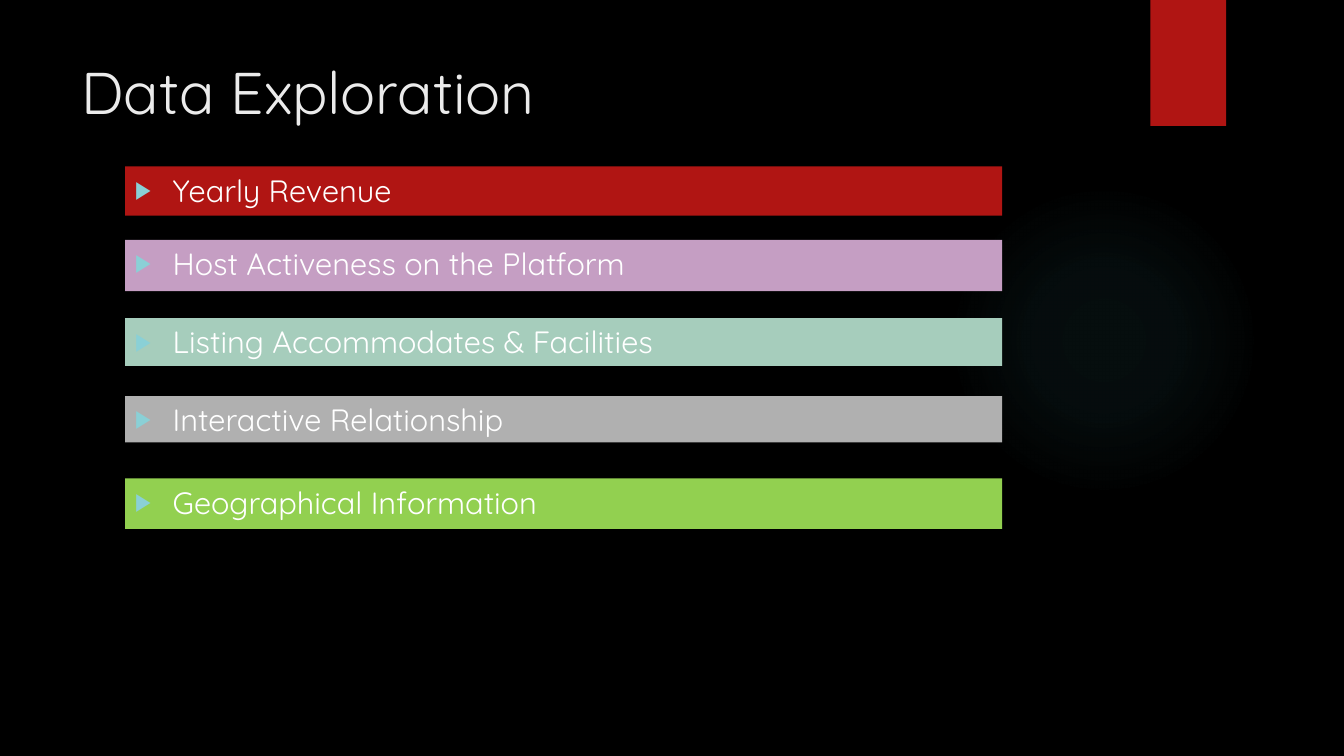
from lxml import etree
from pptx import Presentation
from pptx.dml.color import RGBColor
from pptx.enum import shapes, text
from pptx.oxml import parse_xml
from pptx.oxml.ns import nsdecls, qn
from pptx.util import Pt

FONT = "Quicksand"
TITLE = "Data Exploration"
# label, fill, top, height
BARS = [
    ("Yearly Revenue", "B01513", 118.8, 35.2),
    ("Host Activeness on the Platform", "C59EC3", 171.4, 36.6),
    ("Listing Accommodates & Facilities", "A6CDBC", 227.3, 34.1),
    ("Interactive Relationship", "B0B0B0", 282.9, 33.1),
    ("Geographical Information", "92D050", 341.8, 36),
]
LEFT, WIDTH = 89.3, 626.6
GLOW = [(0, 7), (36, 6), (69, 0)]  # position, opacity in percent
INDENT = 27


def color(code):
    return RGBColor.from_string(code)


def block(kind, left, top, width, height, fill):
    shape = slide.shapes.add_shape(kind, Pt(left), Pt(top), Pt(width), Pt(height))
    shape.shadow.inherit = False
    shape.fill.solid()
    shape.fill.fore_color.rgb = color(fill)
    shape.line.fill.background()
    return shape


def write(para, words, size, code):
    para.alignment = text.PP_ALIGN.LEFT
    run = para.add_run()
    run.text = words
    run.font.name, run.font.size = FONT, Pt(size)
    run.font.color.rgb = color(code)


def fade(shape, code, stops):
    """Swap the solid fill for a round gradient with transparent stops."""
    marks = "".join(
        f'<a:gs pos="{pos * 1000}"><a:srgbClr val="{code}">'
        f'<a:alpha val="{alpha * 1000}"/></a:srgbClr></a:gs>'
        for pos, alpha in stops)
    grad = parse_xml(
        f'<a:gradFill {nsdecls("a")}><a:gsLst>{marks}</a:gsLst>'
        '<a:path path="circle"><a:fillToRect l="50000" t="50000" '
        'r="50000" b="50000"/></a:path></a:gradFill>')
    props = shape.element.spPr
    props.replace(props.find(qn("a:solidFill")), grad)


def bullet(para):
    props = para._p.get_or_add_pPr()
    props.set("marL", str(Pt(INDENT)))
    props.set("indent", str(-Pt(INDENT)))
    tint = etree.SubElement(props, qn("a:buClr"))
    etree.SubElement(tint, qn("a:srgbClr"), val="8AD0D6")
    etree.SubElement(props, qn("a:buSzPct"), val="80000")
    etree.SubElement(props, qn("a:buFont"), typeface="Arial")
    etree.SubElement(props, qn("a:buChar"), char="▶")


deck = Presentation()
deck.slide_width, deck.slide_height = Pt(960), Pt(540)
slide = deck.slides.add_slide(deck.slide_layouts[5])
slide.background.fill.solid()
slide.background.fill.fore_color.rgb = color("000000")

glow = block(shapes.MSO_SHAPE.OVAL, 677.5, 131.8, 221.8, 221.8, "50B9C1")
fade(glow, "50B9C1", GLOW)
block(shapes.MSO_SHAPE.RECTANGLE, 821.8, 0, 54, 90, "B01513")

title = slide.shapes.title
title.left, title.top, title.width, title.height = Pt(51.1), Pt(36), Pt(740.9), Pt(110.2)
title.text_frame.vertical_anchor = text.MSO_ANCHOR.TOP
write(title.text_frame.paragraphs[0], TITLE, 42, "EBEBEB")

for label, fill, top, height in BARS:
    bar = block(shapes.MSO_SHAPE.RECTANGLE, LEFT, top, WIDTH, height, fill)
    frame = bar.text_frame
    frame.word_wrap = True
    frame.vertical_anchor = text.MSO_ANCHOR.TOP
    para = frame.paragraphs[0]
    bullet(para)
    write(para, label, 22, "FFFFFF")

deck.save("out.pptx")
